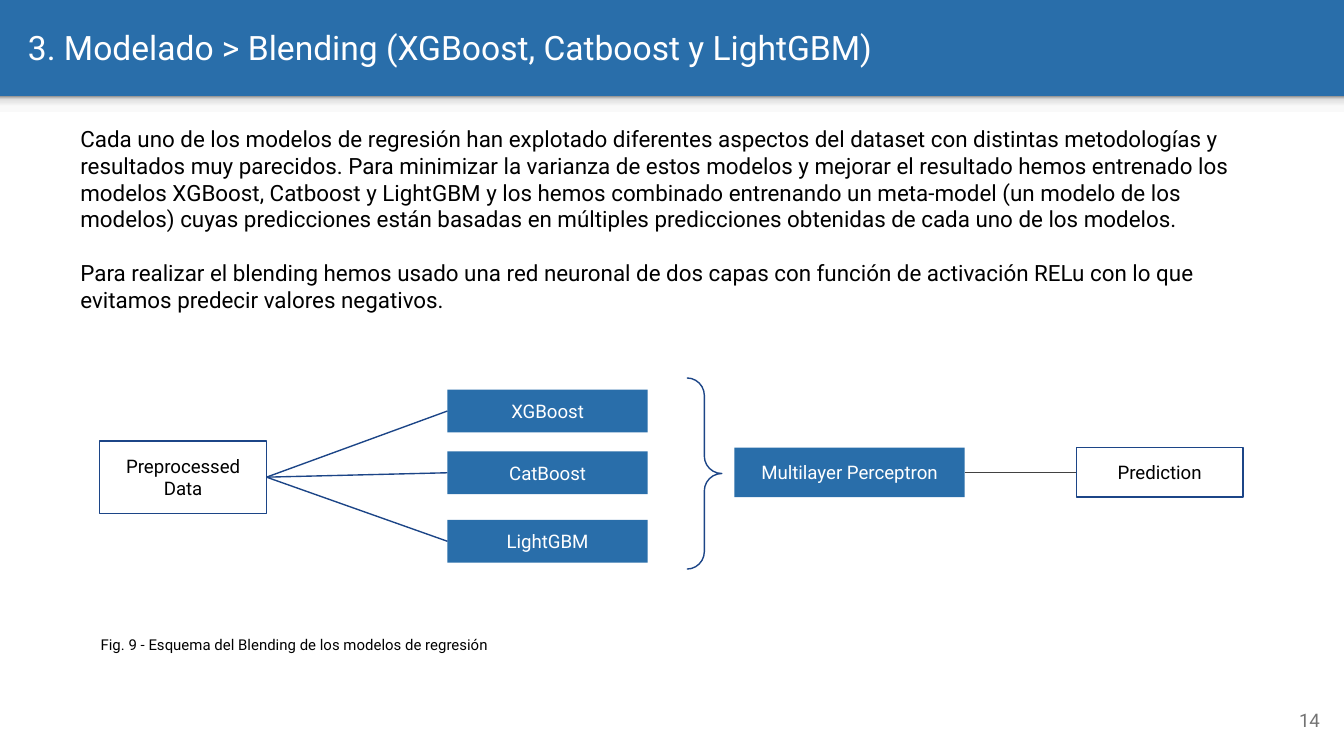
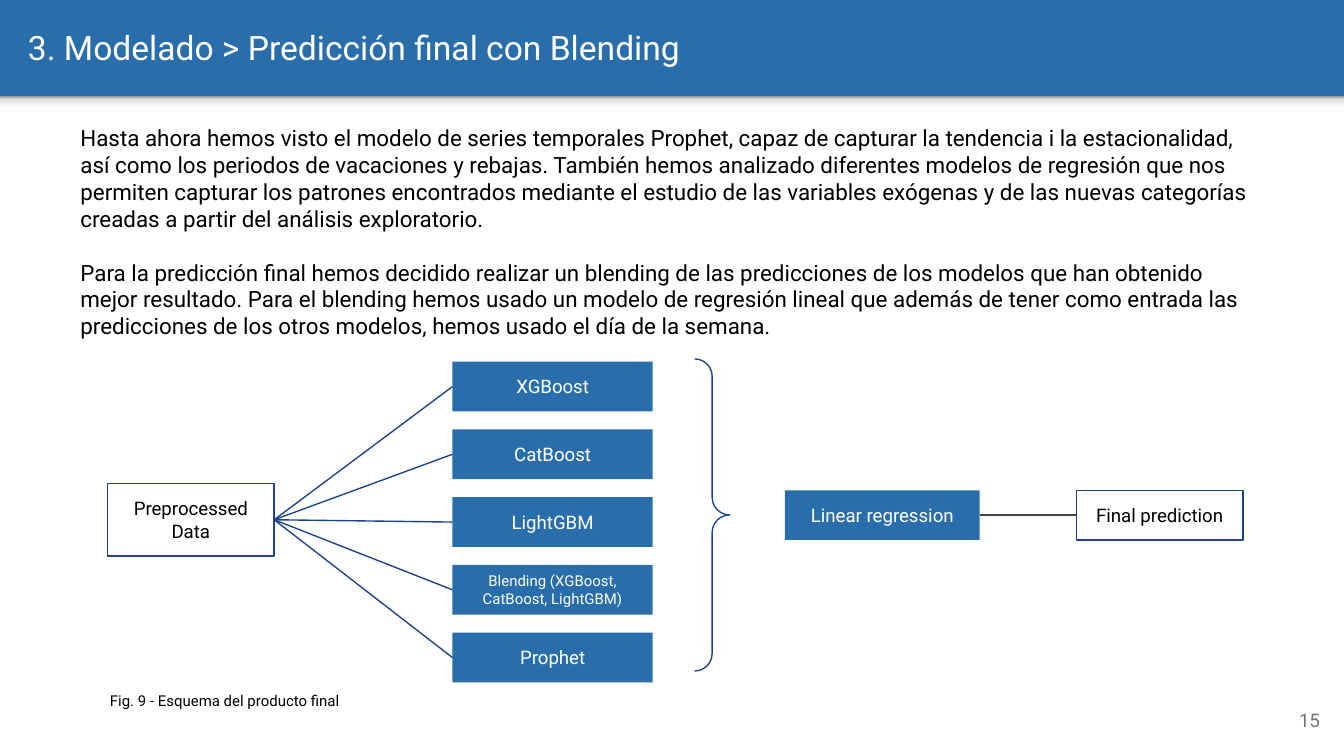
from lxml.etree import SubElement
from pptx import Presentation
from pptx.dml.color import RGBColor
from pptx.enum.shapes import MSO_CONNECTOR as Connector, MSO_SHAPE as Shape
from pptx.enum.text import MSO_ANCHOR as Anchor, PP_ALIGN as Align
from pptx.oxml.ns import qn
from pptx.util import Pt

COLORS = {
    "blue": "296EAA",
    "navy": "1C4587",
    "charcoal": "424242",
    "gray": "737373",
    "white": "FFFFFF",
    "black": "000000",
}
SHADOW_STOPS = [(0, "F9F9F9"), (36, "F9F9F9"), (80, "DEDEDE"), (100, "999999")]
FONT = "Roboto"
WIDTH, HEIGHT = 720, 405
BAND_HEIGHT = 51.5
INSET = 7.2
LINE_WIDTH = 0.75
LEFT_SIDE, RIGHT_SIDE = 1, 3
SOURCE_SIZE = (89.3, 38.9)
MODEL_WIDTH = 107.3
BRACE_WIDTH = 18.7
STAGE_HEIGHT = 26.6
RESULT_LEFT, RESULT_WIDTH = 576.6, 89.3

BLENDING = {
    "title": "3. Modelado > Blending (XGBoost, Catboost y LightGBM)",
    "number": "14",
    "body": [
        "Cada uno de los modelos de regresión han explotado diferentes aspectos del dataset con "
        "distintas metodologías y resultados muy parecidos. Para minimizar la varianza de estos "
        "modelos y mejorar el resultado hemos entrenado los modelos XGBoost, Catboost y LightGBM y "
        "los hemos combinado entrenando un meta-model (un modelo de los modelos) cuyas predicciones "
        "están basadas en múltiples predicciones obtenidas de cada uno de los modelos.",
        "Para realizar el blending hemos usado una red neuronal de dos capas con función de "
        "activación RELu con lo que evitamos predecir valores negativos.",
    ],
    "body_box": (36, 59.7, 648, 116.6),
    "source": (53.5, 236.2),
    "models": [("XGBoost", 208.7, 10), ("CatBoost", 241.8, 10), ("LightGBM", 278.5, 10)],
    "model_left": 239.7,
    "model_height": 23,
    "brace": (368, 202.5, 102.4),
    "stage": ("Multilayer Perceptron", 393.4, 239.8, 123.4),
    "result": "Prediction",
    "caption": "Fig. 9 - Esquema del Blending de los modelos de regresión",
    "caption_at": (46.8, 335.5),
}

FINAL_MODELS = [
    ("XGBoost", 10),
    ("CatBoost", 10),
    ("LightGBM", 10),
    ("Blending (XGBoost, CatBoost, LightGBM)", 8),
    ("Prophet", 10),
]
FINAL_PREDICTION = {
    "title": "3. Modelado > Predicción final con Blending",
    "number": "15",
    "body": [
        "Hasta ahora hemos visto el modelo de series temporales Prophet, capaz de capturar la "
        "tendencia i la estacionalidad, así como los periodos de vacaciones y rebajas. También hemos "
        "analizado diferentes modelos de regresión que nos permiten capturar los patrones encontrados "
        "mediante el estudio de las variables exógenas y de las nuevas categorías creadas a partir "
        "del análisis exploratorio.",
        "Para la predicción final hemos decidido realizar un blending de las predicciones de los "
        "modelos que han obtenido mejor resultado. Para el blending hemos usado un modelo de "
        "regresión lineal que además de tener como entrada las predicciones de los otros modelos, "
        "hemos usado el día de la semana.",
    ],
    "body_box": (36, 59.4, 648, 131),
    "source": (57.6, 259),
    "models": [(name, 193.8 + 36.3 * row, size)
               for row, (name, size) in enumerate(FINAL_MODELS)],
    "model_left": 242.4,
    "model_height": 26.6,
    "brace": (372.2, 192.3, 167.2),
    "stage": ("Linear regression", 420.4, 262.7, 104.4),
    "result": "Final prediction",
    "caption": "Fig. 9 - Esquema del producto final",
    "caption_at": (51.8, 365.8),
}


def rgb(name):
    return RGBColor.from_string(COLORS[name])


def write_text(shape, *paragraphs, size=10, color="black", align=Align.LEFT,
               anchor=Anchor.TOP, gap=0, inset_y=INSET):
    """Write each string as a paragraph, with gap points between them."""
    frame = shape.text_frame
    frame.word_wrap = True
    frame.vertical_anchor = anchor
    frame.margin_left = frame.margin_right = Pt(INSET)
    frame.margin_top = frame.margin_bottom = Pt(inset_y)
    for index, text in enumerate(paragraphs):
        para = frame.add_paragraph() if index else frame.paragraphs[0]
        para.alignment = align
        para.space_before = Pt(gap if index else 0)
        span = para.add_run()
        span.text = text
        span.font.name = FONT
        span.font.size = Pt(size)
        span.font.color.rgb = rgb(color)


def add_text(page, left, top, width, height, *paragraphs, **text_format):
    box = page.shapes.add_textbox(Pt(left), Pt(top), Pt(width), Pt(height))
    write_text(box, *paragraphs, **text_format)


def add_preset(page, kind, left, top, width, height, fill=None, line=None):
    shape = page.shapes.add_shape(kind, Pt(left), Pt(top), Pt(width), Pt(height))
    shape.shadow.inherit = False
    if fill:
        shape.fill.solid()
        shape.fill.fore_color.rgb = rgb(fill)
    else:
        shape.fill.background()
    if line:
        shape.line.color.rgb = rgb(line)
        shape.line.width = Pt(LINE_WIDTH)
    else:
        shape.line.fill.background()
    return shape


def add_node(page, text, left, top, width, height, filled=True, size=10):
    """Add a diagram box, either filled blue or outlined in navy."""
    style = {"fill": "blue"} if filled else {"line": "navy"}
    node = add_preset(page, Shape.RECTANGLE, left, top, width, height, **style)
    write_text(node, text, size=size, color="white" if filled else "black",
               align=Align.CENTER, anchor=Anchor.MIDDLE, inset_y=0)
    return node


def link(page, start, end, color):
    """Join the right side of start to the left side of end."""
    line = page.shapes.add_connector(Connector.STRAIGHT, 0, 0, 0, 0)
    line.begin_connect(start, RIGHT_SIDE)
    line.end_connect(end, LEFT_SIDE)
    line.line.color.rgb = rgb(color)
    line.line.width = Pt(LINE_WIDTH)
    SubElement(line._element.spPr, qn("a:effectLst"))


def add_band_shadow(page):
    strip = add_preset(page, Shape.RECTANGLE, 0, BAND_HEIGHT, WIDTH, 8.6)
    strip.fill.gradient()
    strip.fill.gradient_angle = 90
    stops = strip._element.spPr.find(".//" + qn("a:gsLst"))
    for stop in list(stops):
        stops.remove(stop)
    for percent, color in SHADOW_STOPS:
        stop = SubElement(stops, qn("a:gs"), pos=str(percent * 1000))
        SubElement(stop, qn("a:srgbClr"), val=color)


def add_page(deck, title, number):
    """Add a page with the title band, white panel and page number."""
    page = deck.slides.add_slide(deck.slide_layouts[6])
    page.background.fill.solid()
    page.background.fill.fore_color.rgb = rgb("blue")
    add_preset(page, Shape.RECTANGLE, 0, BAND_HEIGHT, WIDTH, HEIGHT - BAND_HEIGHT, fill="white")
    add_band_shadow(page)
    add_text(page, 7.9, 1.5, 695, 47.5, title, size=18, color="white", anchor=Anchor.MIDDLE)
    add_text(page, 671, 370, 43.2, 31, number, color="gray",
             align=Align.RIGHT, anchor=Anchor.MIDDLE)
    return page


def add_diagram(page, content):
    source = add_node(page, "Preprocessed Data", *content["source"], *SOURCE_SIZE, filled=False)
    for name, top, size in content["models"]:
        model = add_node(page, name, content["model_left"], top, MODEL_WIDTH,
                         content["model_height"], size=size)
        link(page, source, model, "navy")

    left, top, height = content["brace"]
    brace = add_preset(page, Shape.RIGHT_BRACE, left, top, BRACE_WIDTH, height, line="navy")
    brace.adjustments[0] = brace.adjustments[1] = 0.5

    name, left, top, width = content["stage"]
    stage = add_node(page, name, left, top, width, STAGE_HEIGHT)
    result = add_node(page, content["result"], RESULT_LEFT, top, RESULT_WIDTH,
                      STAGE_HEIGHT, filled=False)
    link(page, stage, result, "charcoal")


def main():
    deck = Presentation()
    deck.slide_width, deck.slide_height = Pt(WIDTH), Pt(HEIGHT)
    for content in (BLENDING, FINAL_PREDICTION):
        page = add_page(deck, content["title"], content["number"])
        add_text(page, *content["body_box"], *content["body"], size=12, gap=14.4)
        add_diagram(page, content)
        add_text(page, *content["caption_at"], 414, 24.5, content["caption"], size=8)
    deck.save("out.pptx")


if __name__ == "__main__":
    main()
